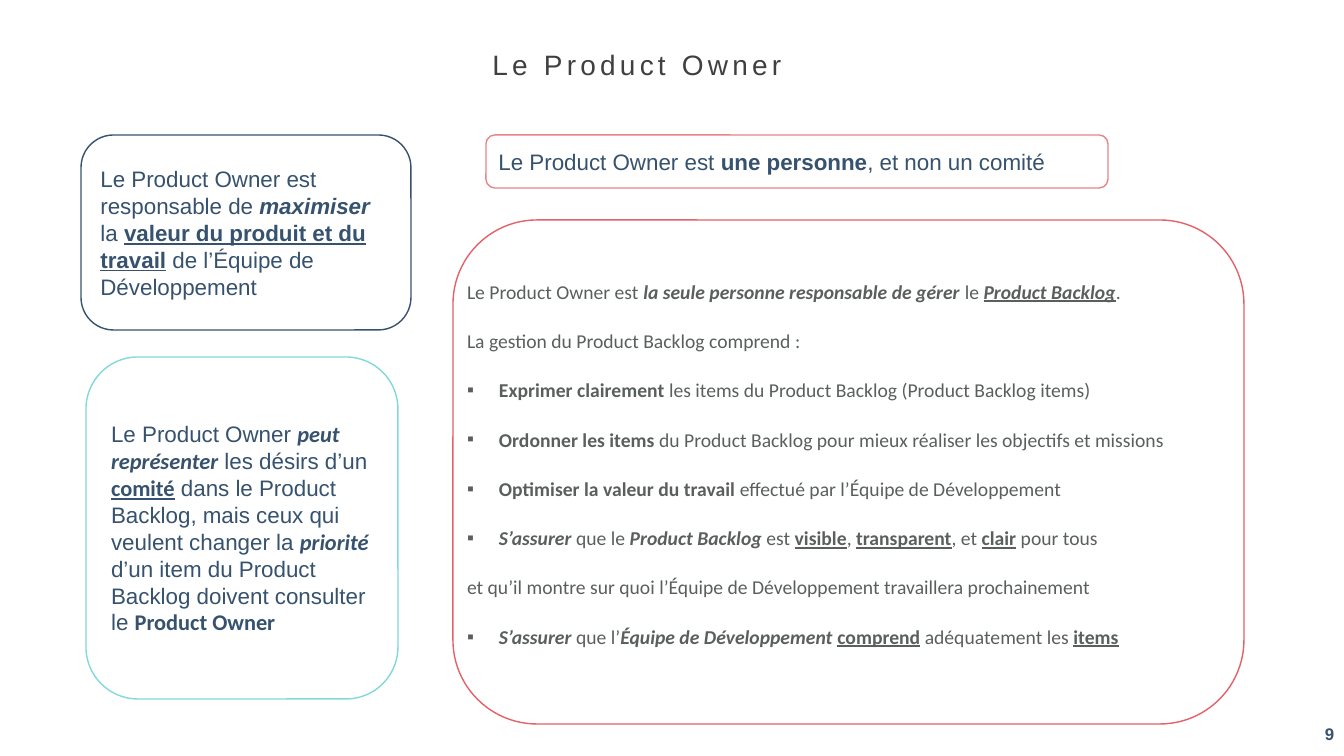
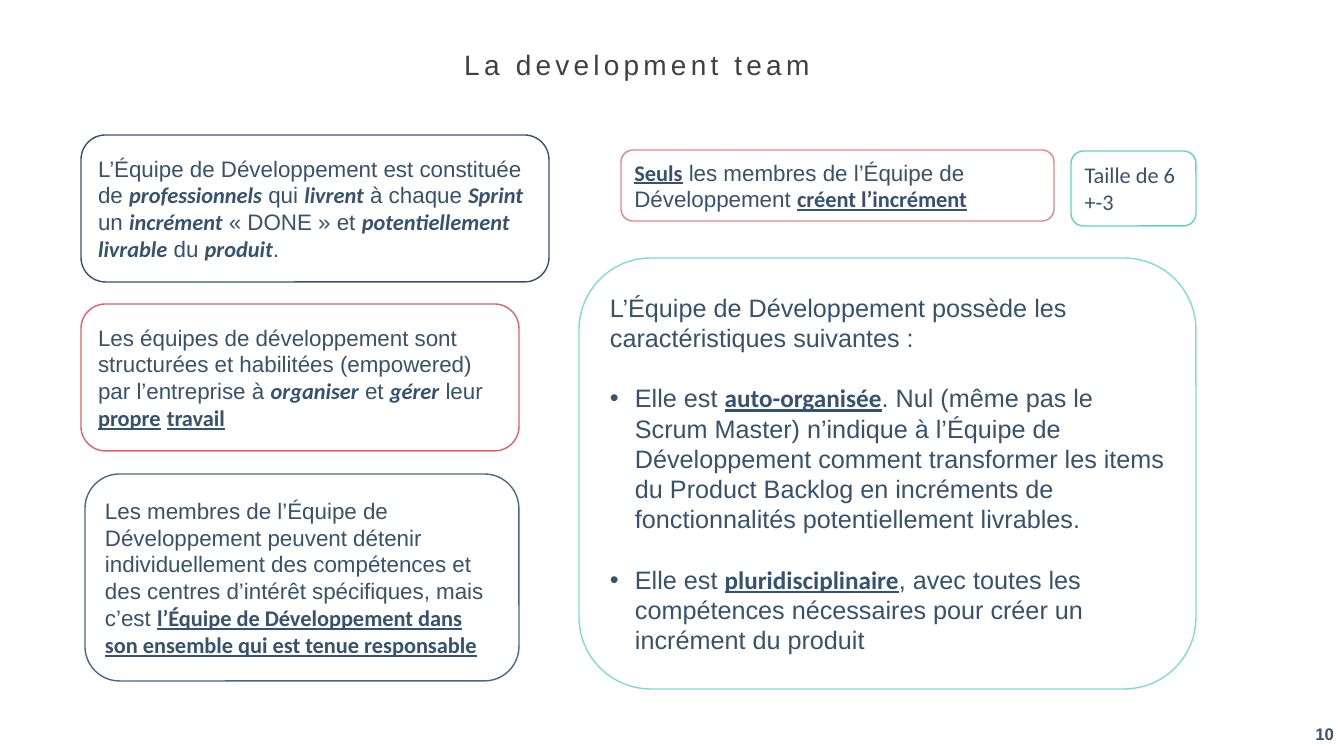
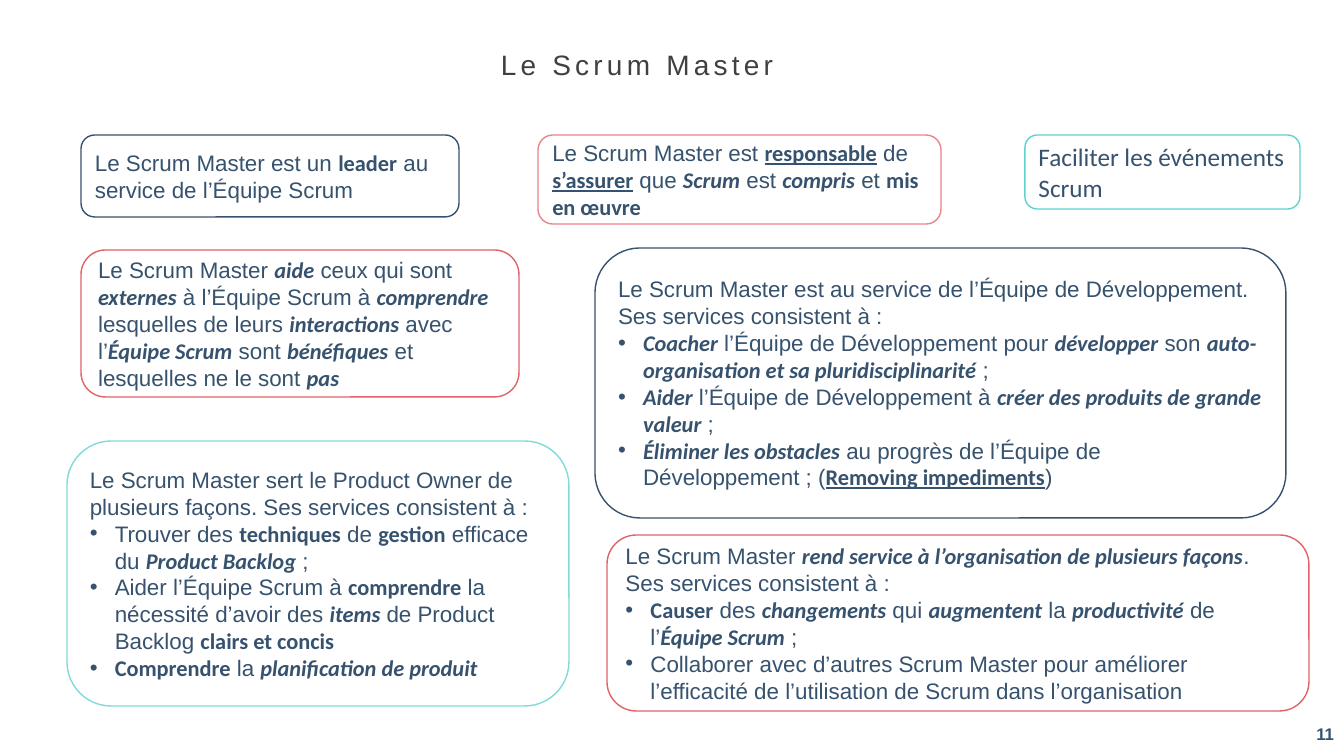
from dataclasses import dataclass, field

from lxml.etree import SubElement
from pptx import Presentation
from pptx.dml.color import RGBColor
from pptx.enum.shapes import MSO_SHAPE
from pptx.enum.text import MSO_ANCHOR, PP_ALIGN
from pptx.oxml.ns import qn
from pptx.util import Pt

SCALE = 12192000 / 1344
WIDE, HIGH = 1344, 756
BULLETS = {"•": 25, "▪": 32}  # mark: hanging indent in px


# Theme: colours, fonts and sizes by role
@dataclass(frozen=True)
class Theme:
    navy: str = "36526E"
    blue: str = "45688B"
    red: str = "E16268"
    pink: str = "E88489"
    aqua: str = "80DAD8"
    teal: str = "61D1CE"
    white: str = "FFFFFF"
    line: float = 1
    kinds: dict = field(default_factory=lambda: {
        "title": dict(name="Arial", strong="Arial", size=20, ink="404040"),
        "page": dict(name="Arial", strong="Arial", size=12, ink="36526E"),
        "plain": dict(name="Arial", strong="Arial", size=16, ink="36526E"),
        "body": dict(name="Arial", strong="Calibri", size=16, ink="36526E"),
        "large": dict(name="Arial", strong="Calibri", size=18, ink="36526E"),
        "note": dict(name="Calibri", strong="Calibri", size=16, ink="36526E"),
        "call": dict(name="Calibri", strong="Calibri", size=18, ink="36526E"),
        "list": dict(name="Calibri", strong="Calibri", size=14, ink="5A5F5E"),
    })


THEME = Theme()
FLAGS = {"b": "bold", "i": "italic", "u": "underline"}


def px(num):
    return round(num * SCALE)


def area(*nums):
    return [px(num) for num in nums]


# Text: "{bi words}" marks a bold italic run, a leading bullet a list item
def add_run(para, text, flags, kind):
    style = THEME.kinds[kind]
    run = para.add_run()
    run.text = text
    form = {"name": style["strong" if flags else "name"],
            "size": Pt(style["size"])}
    form.update({FLAGS[flag]: True for flag in flags})
    for key, val in form.items():
        setattr(run.font, key, val)
    run.font.color.rgb = RGBColor.from_string(style["ink"])
    return run


def add_mark(para, mark):
    props = para._p.get_or_add_pPr()
    props.set("marL", str(px(BULLETS[mark])))
    props.set("indent", str(-px(BULLETS[mark])))
    SubElement(props, qn("a:buFont")).set("typeface", "Arial")
    SubElement(props, qn("a:buChar")).set("char", mark)


def write(frame, lines, kind, **form):
    frame.word_wrap = True
    for num, line in enumerate(lines):
        para = frame.add_paragraph() if num else frame.paragraphs[0]
        para.alignment = PP_ALIGN.LEFT
        if line[0] in BULLETS:
            add_mark(para, line[0])
            line = line[2:]
        for key, val in form.items():
            if num or key != "space_before":
                setattr(para, key, val)
        head, *parts = line.split("{")
        if head:
            add_run(para, head, "", kind)
        for part in parts:
            strong, _, rest = part.partition("}")
            flags, _, words = strong.partition(" ")
            add_run(para, words, flags, kind)
            if rest:
                add_run(para, rest, "", kind)


# Elements
def add_text(slide, place, lines, kind, anchor=MSO_ANCHOR.TOP, **form):
    frame = slide.shapes.add_textbox(*area(*place)).text_frame
    frame.vertical_anchor = anchor
    write(frame, lines, kind, **form)
    return frame


def add_card(slide, place, edge, lines=(), kind="body", **form):
    card = slide.shapes.add_shape(MSO_SHAPE.ROUNDED_RECTANGLE, *area(*place))
    card.shadow.inherit = False
    card.fill.solid()
    card.fill.fore_color.rgb = RGBColor.from_string(THEME.white)
    card.line.color.rgb = RGBColor.from_string(edge)
    card.line.width = Pt(THEME.line)
    card.text_frame.vertical_anchor = MSO_ANCHOR.MIDDLE
    write(card.text_frame, lines, kind, **form)


def add_page(deck, title, num):
    slide = deck.slides.add_slide(deck.slide_layouts[6])
    add_text(slide, (WIDE - 58, HIGH - 45, 58, 45), [f"{{b {num}}}"], "page",
             MSO_ANCHOR.MIDDLE, alignment=PP_ALIGN.RIGHT)
    frame = add_text(slide, (167, 46, 940, 42), [title], "title",
                     alignment=PP_ALIGN.CENTER, line_spacing=0.9)
    frame.paragraphs[0].runs[0].font._element.set("spc", "300")
    return slide


# Slides
def owner(slide):
    add_card(slide, (81, 135, 330, 195), THEME.navy, [
        "Le Product Owner est responsable de {bi maximiser} la "
        "{bu valeur du produit et du travail} de l’Équipe de Développement",
    ], "plain")
    add_card(slide, (486, 135, 622, 53), THEME.pink, [
        "Le Product Owner est {b une personne}, et non un comité",
    ], "plain")
    add_card(slide, (86, 357, 312, 342), THEME.aqua, [
        "Le Product Owner {bi peut représenter} les désirs d’un {bu comité} "
        "dans le Product Backlog, mais ceux qui veulent changer la "
        "{bi priorité} d’un item du Product Backlog doivent consulter le "
        "{b Product Owner}",
    ])
    add_card(slide, (453, 220, 791, 504), THEME.red)
    frame = add_text(slide, (463, 249, 780, 404), [
        "Le Product Owner est {bi la seule personne responsable de gérer} le "
        "{biu Product Backlog}.",
        "La gestion du Product Backlog comprend :",
        "▪ {b Exprimer clairement} les items du Product Backlog "
        "(Product Backlog items)",
        "▪ {b Ordonner les items} du Product Backlog pour mieux réaliser "
        "les objectifs et missions",
        "▪ {b Optimiser la valeur du travail} effectué par "
        "l’Équipe de Développement",
        "▪ {bi S’assurer} que le {bi Product Backlog} est {bu visible}, "
        "{bu transparent}, et {bu clair} pour tous",
        "et qu’il montre sur quoi l’Équipe de Développement travaillera "
        "prochainement",
        "▪ {bi S’assurer} que l’{bi Équipe de Développement} {bu comprend} "
        "adéquatement les {bu items}",
    ], "list", MSO_ANCHOR.MIDDLE, line_spacing=Pt(35.2))
    for side in ("left", "top", "right", "bottom"):
        setattr(frame, f"margin_{side}", px(4))


def team(slide):
    add_card(slide, (81, 135, 468, 147), THEME.navy, [
        "L’Équipe de Développement est constituée de {bi professionnels} qui "
        "{bi livrent} à chaque {bi Sprint} un {bi incrément} « DONE » et "
        "{bi potentiellement livrable} du {bi produit}.",
    ])
    add_card(slide, (621, 150, 433, 71), THEME.pink, [
        "{bu Seuls} les membres de l’Équipe de Développement "
        "{bu créent l’incrément}",
    ])
    add_card(slide, (579, 258, 617, 431), THEME.aqua, [
        "L’Équipe de Développement possède les caractéristiques suivantes :",
        "• Elle est {bu auto-organisée}. Nul (même pas le Scrum Master) "
        "n’indique à l’Équipe de Développement comment transformer les items "
        "du Product Backlog en incréments de fonctionnalités potentiellement "
        "livrables.",
        "• Elle est {bu pluridisciplinaire}, avec toutes les compétences "
        "nécessaires pour créer un incrément du produit",
    ], "large", space_before=Pt(21.6))
    add_card(slide, (81, 304, 438, 147), THEME.red, [
        "Les équipes de développement sont structurées et habilitées "
        "(empowered) par l’entreprise à {bi organiser} et {bi gérer} leur "
        "{bu propre} {bu travail}",
    ])
    add_card(slide, (85, 474, 434, 207), THEME.blue, [
        "Les membres de l’Équipe de Développement peuvent détenir "
        "individuellement des compétences et des centres d’intérêt "
        "spécifiques, mais c’est {bu l’Équipe de Développement dans son "
        "ensemble qui est tenue responsable}",
    ])
    add_card(slide, (1071, 151, 125, 75), THEME.teal,
             ["Taille de 6 +-3"], "note")


def master(slide):
    add_card(slide, (81, 135, 378, 82), THEME.navy, [
        "Le Scrum Master est un {b leader} au service de l’Équipe Scrum",
    ])
    add_card(slide, (538, 135, 403, 89), THEME.pink, [
        "Le Scrum Master est {bu responsable} de {bu s’assurer} que "
        "{bi Scrum} est {bi compris} et {b mis en œuvre}",
    ])
    add_card(slide, (67, 441, 502, 265), THEME.aqua, [
        "Le Scrum Master sert le Product Owner de plusieurs façons. "
        "Ses services consistent à :",
        "• Trouver des {b techniques} de {b gestion} efficace du "
        "{bi Product Backlog} ;",
        "• Aider l’Équipe Scrum à {b comprendre} la nécessité d’avoir des "
        "{bi items} de Product Backlog {b clairs et concis}",
        "• {b Comprendre} la {bi planification de produit}",
    ])
    add_card(slide, (81, 250, 438, 147), THEME.red, [
        "Le Scrum Master {bi aide} ceux qui sont {bi externes} à l’Équipe "
        "Scrum à {bi comprendre} lesquelles de leurs {bi interactions} avec "
        "l’{bi Équipe Scrum} sont {bi bénéfiques} et lesquelles ne le sont "
        "{bi pas}",
    ])
    add_card(slide, (1025, 135, 275, 74), THEME.teal,
             ["Faciliter les événements Scrum"], "call")
    add_card(slide, (595, 248, 691, 270), THEME.navy, [
        "Le Scrum Master est au service de l’Équipe de Développement. "
        "Ses services consistent à :",
        "• {bi Coacher} l’Équipe de Développement pour {bi développer} son "
        "{bi auto-organisation et sa pluridisciplinarité} ;",
        "• {bi Aider} l’Équipe de Développement à "
        "{bi créer des produits de grande valeur} ;",
        "• {bi Éliminer les obstacles} au progrès de l’Équipe de "
        "Développement ; ({bu Removing impediments})",
    ])
    add_card(slide, (607, 535, 702, 176), THEME.red, [
        "Le Scrum Master {bi rend service à l’organisation de plusieurs "
        "façons}. Ses services consistent à :",
        "• {b Causer} des {bi changements} qui {bi augmentent} la "
        "{bi productivité} de l’{bi Équipe Scrum} ;",
        "• Collaborer avec d’autres Scrum Master pour améliorer "
        "l’efficacité de l’utilisation de Scrum dans l’organisation",
    ])


def main():
    deck = Presentation()
    deck.slide_width, deck.slide_height = area(WIDE, HIGH)
    pages = {"Le Product Owner": owner, "La development team": team,
             "Le Scrum Master": master}
    for num, (title, build) in enumerate(pages.items(), 9):
        build(add_page(deck, title, num))
    deck.save("out.pptx")


if __name__ == "__main__":
    main()
